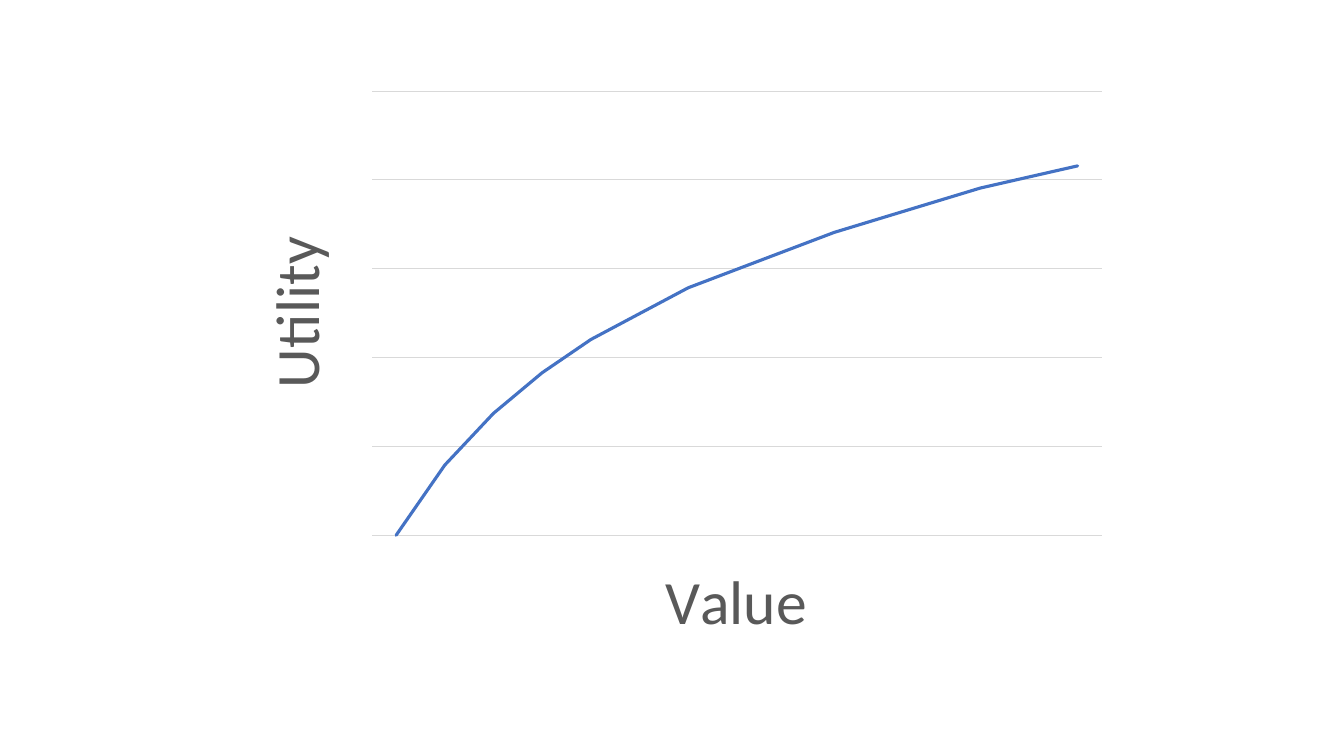
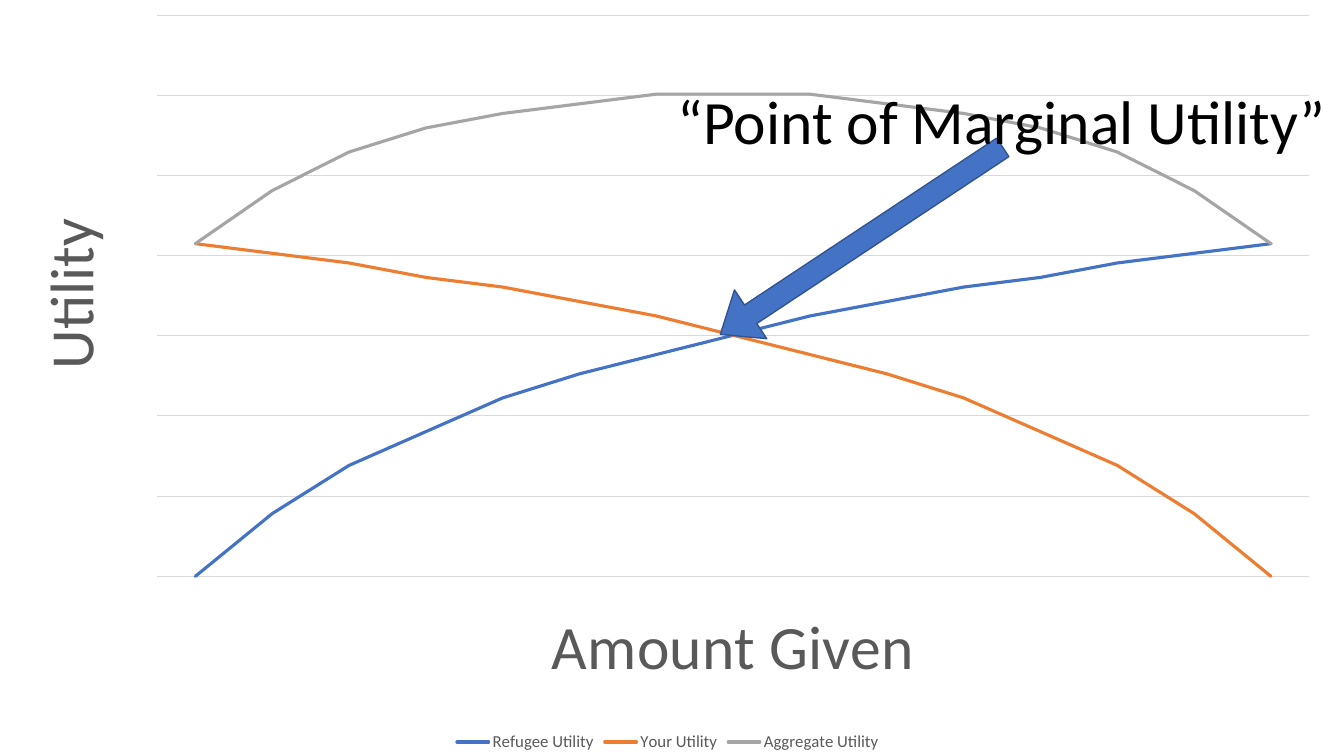
from dataclasses import dataclass

from lxml import etree
from pptx import Presentation
from pptx.chart.data import CategoryChartData
from pptx.dml.color import RGBColor
from pptx.enum.chart import XL_CHART_TYPE, XL_LEGEND_POSITION, XL_MARKER_STYLE
from pptx.enum.shapes import MSO_SHAPE
from pptx.enum.text import MSO_AUTO_SIZE
from pptx.oxml.ns import qn
from pptx.util import Pt

LINE_CHART = XL_CHART_TYPE.LINE
BOTTOM = XL_LEGEND_POSITION.BOTTOM
NO_MARKER = XL_MARKER_STYLE.NONE
DOWN_ARROW = MSO_SHAPE.DOWN_ARROW
GROW = MSO_AUTO_SIZE.SHAPE_TO_FIT_TEXT
BLANK_LAYOUT = 6


@dataclass(frozen=True)
class Theme:
    font: str = "Calibri"
    blue: str = "4472C4"
    orange: str = "ED7D31"
    gray: str = "A5A5A5"
    gold: str = "FFC000"
    sky: str = "5B9BD5"
    arrow_edge: str = "325491"
    grid: str = "D9D9D9"
    label: str = "595959"
    ink: str = "000000"
    base_size: int = 10
    legend_size: int = 12
    large_size: int = 44
    grid_width: float = 0.75
    edge_width: float = 1
    curve_width: float = 2.25


THEME = Theme()
CURVE_COLORS = (THEME.blue, THEME.orange, THEME.gray, THEME.gold, THEME.sky)

REFUGEE = (0, 13, 23, 30, 37, 42, 46, 50, 54, 57, 60, 62, 65, 67, 69)
AGGREGATE = (69, 80, 88, 93, 96, 98, 100, 100, 100, 98, 96, 93, 88, 80, 69)
STEPS = len(REFUGEE)
EMPTY = (None,) * STEPS

VALUE_CURVE = {
    "box": (160, 57, 640, 427),
    "curves": {
        "Series 1": (0, 19, 33, 44, 53, 60, 67, 72, 77, 82, 86, 90, 94, 97, 100),
        "Series 2": EMPTY,
        "Series 3": EMPTY,
        "Series 4": (24,) + EMPTY[1:],
    },
    "grid_step": 24.05,
    "grid_rows": 5,
    "plot_percent": (16.5, 1.9, 81.5, 74.3),
    "x_title": ("Value", (48, 78.1)),
    "y_title": ("Utility", (2, 24.4)),
    "legend": False,
    "legend_hides": (),
}
GIVING_CURVES = {
    "box": (0, 0, 954, 540),
    "curves": {
        "Refugee Utility": REFUGEE,
        "Your Utility": REFUGEE[::-1],
        "Aggregate Utility": AGGREGATE,
        "Series 4": (17,) + EMPTY[1:],
        "Series 5": EMPTY,
    },
    "grid_step": 16.63,
    "grid_rows": 7,
    "plot_percent": (11.75, 2, 86.3, 74.25),
    "x_title": ("Amount Given", (40.5, 78.3)),
    "y_title": ("Utility", (1.2, 27.4)),
    "legend": True,
    "legend_hides": (3, 4),
}
CALLOUT = {
    "text": "“Point of Marginal Utility”",
    "text_box": (476.8, 55.5, 483, 60.5),
    "arrow_box": (594.5, 51.1, 41.8, 241.9),
    "arrow_turn": 56.5,
    "arrow_shape": (0.38, 0.62),
}


def points(box):
    return [Pt(length) for length in box]


def style_font(font, size, color):
    font.name = THEME.font
    font.size = Pt(size)
    font.bold = False
    font.color.rgb = RGBColor.from_string(color)


def set_layout(parent, percents, index, inner=False):
    layout = parent.find(qn("c:layout"))
    if layout is None:
        layout = etree.Element(qn("c:layout"))
        parent.insert(index, layout)
    manual = etree.SubElement(layout, qn("c:manualLayout"))
    settings = [("layoutTarget", "inner")] if inner else []
    settings += [("xMode", "edge"), ("yMode", "edge")]
    settings += zip(("x", "y", "w", "h"), (percent / 100 for percent in percents))
    for tag, value in settings:
        etree.SubElement(manual, qn(f"c:{tag}")).set("val", str(value))


def add_axis_title(axis, text, percents, rotation):
    axis.visible = False
    title = axis.axis_title
    run = title.text_frame.paragraphs[0].add_run()
    run.text = text
    style_font(run.font, THEME.large_size, THEME.label)
    element = title._element
    body = element.find(".//" + qn("a:bodyPr"))
    body.set("rot", str(rotation))
    body.set("vert", "horz")
    set_layout(element, percents, 1)


def add_legend(chart, hidden):
    chart.has_legend = True
    legend = chart.legend
    legend.position = BOTTOM
    legend.include_in_layout = False
    style_font(legend.font, THEME.legend_size, THEME.label)
    for place, index in enumerate(hidden, start=1):
        entry = etree.Element(qn("c:legendEntry"))
        etree.SubElement(entry, qn("c:idx")).set("val", str(index))
        etree.SubElement(entry, qn("c:delete")).set("val", "1")
        legend._element.insert(place, entry)


def add_curves(slide, content):
    data = CategoryChartData()
    data.categories = [str(step) for step in range(1, STEPS + 1)]
    for name, values in content["curves"].items():
        data.add_series(name, values)
    chart = slide.shapes.add_chart(LINE_CHART, *points(content["box"]), data).chart
    style_font(chart.font, THEME.base_size, THEME.ink)
    chart.has_title = False
    plot = chart.plots[0]
    plot.vary_by_categories = False

    for curve, color in zip(plot.series, CURVE_COLORS):
        curve.smooth = False
        curve.marker.style = NO_MARKER
        curve.format.line.color.rgb = RGBColor.from_string(color)
        curve.format.line.width = Pt(THEME.curve_width)
        stroke = curve._element.find(qn("c:spPr")).find(qn("a:ln"))
        stroke.set("cap", "rnd")
        etree.SubElement(stroke, qn("a:round"))

    scale = chart.value_axis
    scale.minimum_scale = 0
    scale.maximum_scale = round(content["grid_step"] * content["grid_rows"], 2)
    scale.major_unit = content["grid_step"]
    scale.has_major_gridlines = True
    grid = scale.major_gridlines.format.line
    grid.color.rgb = RGBColor.from_string(THEME.grid)
    grid.width = Pt(THEME.grid_width)
    add_axis_title(chart.category_axis, *content["x_title"], rotation=0)
    add_axis_title(scale, *content["y_title"], rotation=-5400000)

    chart.has_legend = False
    if content["legend"]:
        add_legend(chart, content["legend_hides"])
    plot_area = chart._chartSpace.find(".//" + qn("c:plotArea"))
    set_layout(plot_area, content["plot_percent"], 0, inner=True)


def add_callout(slide, content):
    arrow = slide.shapes.add_shape(DOWN_ARROW, *points(content["arrow_box"]))
    arrow.rotation = content["arrow_turn"]
    arrow.shadow.inherit = False
    for index, value in enumerate(content["arrow_shape"]):
        arrow.adjustments[index] = value
    arrow.fill.solid()
    arrow.fill.fore_color.rgb = RGBColor.from_string(THEME.blue)
    arrow.line.color.rgb = RGBColor.from_string(THEME.arrow_edge)
    arrow.line.width = Pt(THEME.edge_width)

    frame = slide.shapes.add_textbox(*points(content["text_box"])).text_frame
    frame.word_wrap = False
    frame.auto_size = GROW
    run = frame.paragraphs[0].add_run()
    run.text = content["text"]
    style_font(run.font, THEME.large_size, THEME.ink)


def main():
    deck = Presentation()
    deck.slide_width, deck.slide_height = Pt(960), Pt(540)
    blank = deck.slide_layouts[BLANK_LAYOUT]
    add_curves(deck.slides.add_slide(blank), VALUE_CURVE)
    giving = deck.slides.add_slide(blank)
    add_curves(giving, GIVING_CURVES)
    add_callout(giving, CALLOUT)
    deck.save("out.pptx")


if __name__ == "__main__":
    main()
